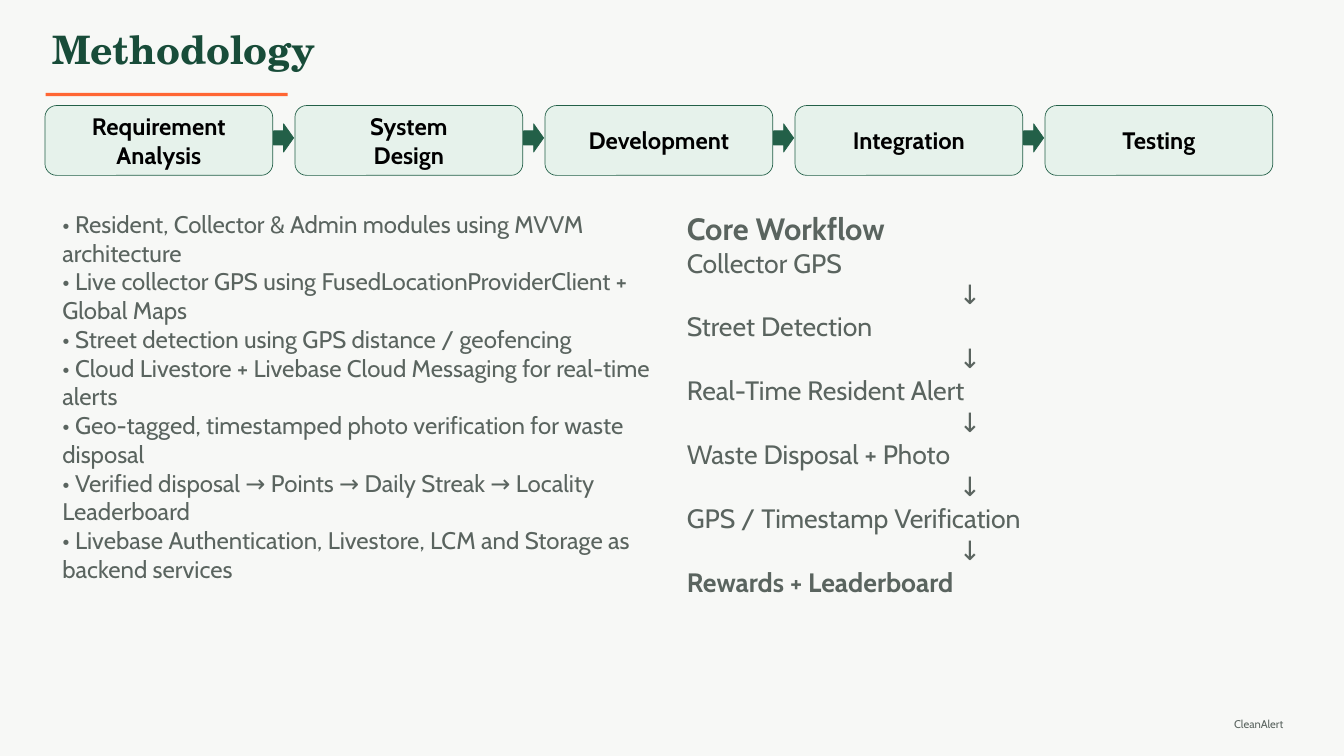
from pptx import Presentation
from pptx.dml.color import RGBColor
from pptx.enum.shapes import MSO_SHAPE
from pptx.enum.text import MSO_ANCHOR, PP_ALIGN
from pptx.util import Cm, Pt

ROUNDED = MSO_SHAPE.ROUNDED_RECTANGLE
RIGHT_ARROW = MSO_SHAPE.RIGHT_ARROW
RECTANGLE = MSO_SHAPE.RECTANGLE
TOP, MIDDLE = MSO_ANCHOR.TOP, MSO_ANCHOR.MIDDLE
LEFT, CENTER, RIGHT = PP_ALIGN.LEFT, PP_ALIGN.CENTER, PP_ALIGN.RIGHT

BACKGROUND = RGBColor(0xF7, 0xF8, 0xF6)
DARK_GREEN = RGBColor(0x18, 0x4C, 0x39)
GREEN = RGBColor(0x23, 0x60, 0x48)
PALE_GREEN = RGBColor(0xE6, 0xF2, 0xEB)
ORANGE = RGBColor(0xFF, 0x66, 0x33)
GREY = RGBColor(0x5A, 0x64, 0x5F)
BLACK = RGBColor(0, 0, 0)

SERIF, SANS = "TeX Gyre Schola", "Cabin"

TITLE = {"name": SERIF, "size": Pt(42), "bold": True}
STEP = {"name": SANS, "size": Pt(25.5), "bold": True}
BULLET = {"name": SANS, "size": Pt(25.7), "bold": False}
HEADING = {"name": SANS, "size": Pt(33), "bold": True}
STAGE = {"name": SANS, "size": Pt(28.5), "bold": False}
LAST_STAGE = {**STAGE, "bold": True}
FOOTER = {"name": SANS, "size": Pt(12), "bold": False}

STEPS = ["Requirement\nAnalysis", "System\nDesign", "Development", "Integration", "Testing"]
MODULES = [
    "Resident, Collector & Admin modules using MVVM architecture",
    "Live collector GPS using FusedLocationProviderClient + Global Maps",
    "Street detection using GPS distance / geofencing",
    "Cloud Livestore + Livebase Cloud Messaging for real-time alerts",
    "Geo-tagged, timestamped photo verification for waste disposal",
    "Verified disposal → Points → Daily Streak → Locality Leaderboard",
    "Livebase Authentication, Livestore, LCM and Storage as backend services",
]
STAGES = [
    "Collector GPS",
    "Street Detection",
    "Real-Time Resident Alert",
    "Waste Disposal + Photo",
    "GPS / Timestamp Verification",
    "Rewards + Leaderboard",
]


def write(frame, lines, color, anchor=TOP, inset=0):
    """Fill a text frame with (text, format, alignment) lines at 1.2 leading."""
    frame.word_wrap = True
    frame.vertical_anchor = anchor
    for side in ("left", "top", "right", "bottom"):
        setattr(frame, f"margin_{side}", Cm(inset))
    for number, (text, style, alignment) in enumerate(lines):
        paragraph = frame.add_paragraph() if number else frame.paragraphs[0]
        paragraph.alignment = alignment
        paragraph.line_spacing = Pt(round(style["size"].pt * 1.2, 1))
        run = paragraph.add_run()
        run.text = text
        run.font.color.rgb = color
        for attribute, value in style.items():
            setattr(run.font, attribute, value)


def add_text(slide, box, lines, color):
    textbox = slide.shapes.add_textbox(*map(Cm, box))
    write(textbox.text_frame, lines, color)


def add_block(slide, kind, box, fill, outline=None):
    block = slide.shapes.add_shape(kind, *map(Cm, box))
    block.shadow.inherit = False
    block.fill.solid()
    block.fill.fore_color.rgb = fill
    if outline is None:
        block.line.fill.background()
    else:
        block.line.color.rgb = outline
        block.line.width = Pt(0.75)
    return block


def add_header(slide, left, top, width, height):
    add_text(slide, (left + 0.25, top, width, height),
             [("Methodology", TITLE, LEFT)], DARK_GREEN)
    add_block(slide, RECTANGLE, (left, top + 2.57, 9.14, 0.13), ORANGE)


def add_process(slide, left, top, width, height):
    """Spread the steps over the width, with a block arrow in each gap."""
    gap, arrow_width, arrow_height = 0.84, 0.76, 1.07
    step_width = (width - gap * (len(STEPS) - 1)) / len(STEPS)
    for number, step in enumerate(STEPS):
        x = left + number * (step_width + gap)
        card = add_block(slide, ROUNDED, (x, top, step_width, height), PALE_GREEN, GREEN)
        write(card.text_frame, [(line, STEP, CENTER) for line in step.split("\n")],
              BLACK, MIDDLE, 0.15)
        if number < len(STEPS) - 1:
            add_block(slide, RIGHT_ARROW,
                      (x + step_width + 0.03, top + 0.69, arrow_width, arrow_height),
                      GREEN, GREEN)


def add_modules(slide, left, top, width, height):
    add_text(slide, (left, top, width, height),
             [(f"• {module}", BULLET, LEFT) for module in MODULES], GREY)


def add_workflow(slide, left, top, width, height):
    lines = [("Core Workflow", HEADING, LEFT)]
    for stage in STAGES[:-1]:
        lines += [(stage, STAGE, LEFT), ("↓", STAGE, CENTER)]
    lines.append((STAGES[-1], LAST_STAGE, LEFT))
    add_text(slide, (left, top, width, height), lines, GREY)


def add_footer(slide, left, top, width, height):
    add_text(slide, (left, top, width, height), [("CleanAlert", FOOTER, RIGHT)], GREY)


def main():
    presentation = Presentation()
    presentation.slide_width, presentation.slide_height = Cm(50.8), Cm(28.58)
    slide = presentation.slides.add_slide(presentation.slide_layouts[6])
    slide.background.fill.solid()
    slide.background.fill.fore_color.rgb = BACKGROUND

    add_header(slide, 1.73, 0.94, 46.74, 2.13)
    add_process(slide, 1.7, 3.99, 46.41, 2.64)
    add_modules(slide, 2.36, 7.92, 22.35, 14.07)
    add_workflow(slide, 25.96, 7.92, 21.41, 14.48)
    add_footer(slide, 1.98, 27.1, 46.53, 0.58)

    presentation.save("out.pptx")


if __name__ == "__main__":
    main()
